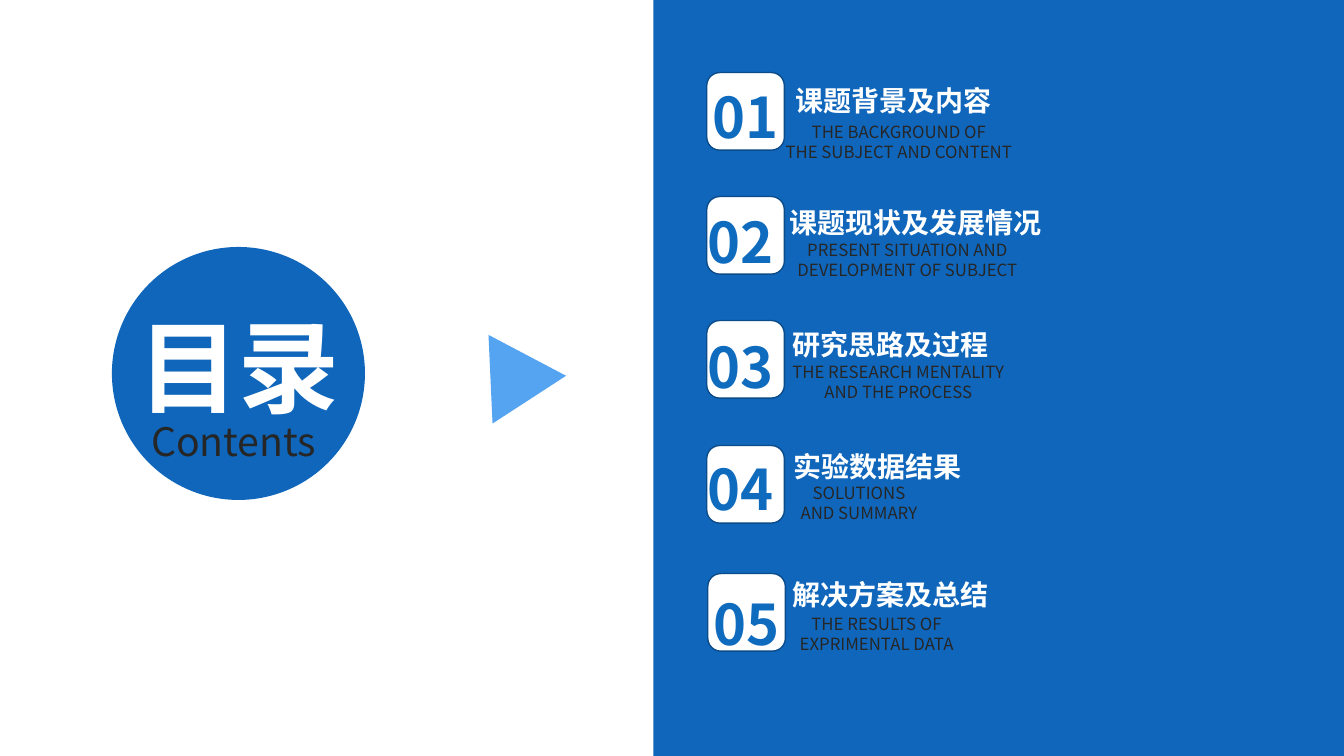
from lxml import etree
from pptx import Presentation, util as u
from pptx.dml.color import RGBColor
from pptx.enum import shapes, text
from pptx.oxml.ns import qn

PX = 9144  # EMU per px, 100 px to the inch
FONT = "Noto Sans CJK SC"
BLUE, WHITE, DARK = "0F66BB", "FFFFFF", "262626"
LEFT, CENTER = text.PP_ALIGN.LEFT, text.PP_ALIGN.CENTER

deck = Presentation()
deck.slide_width, deck.slide_height = 1333 * PX, 750 * PX
slide = deck.slides.add_slide(deck.slide_layouts[5])


def add_block(kind, box, fill, line=None):
    block = slide.shapes.add_shape(kind, *[n * PX for n in box])
    block.shadow.inherit = False
    block.fill.solid()
    block.fill.fore_color.rgb = RGBColor.from_string(fill)
    if line:
        block.line.color.rgb = RGBColor.from_string(line)
        block.line.width = u.Pt(1)
    else:
        block.line.fill.background()
    return block


def write(holder, box, lines, size, color, bold=False, wrap=True, align=LEFT, leading=1.28):
    holder.left, holder.top, holder.width, holder.height = [n * PX for n in box]
    frame = holder.text_frame
    frame.word_wrap = wrap
    frame.auto_size = text.MSO_AUTO_SIZE.NONE
    frame.vertical_anchor = text.MSO_ANCHOR.TOP
    for i, words in enumerate(lines):
        paragraph = frame.add_paragraph() if i else frame.paragraphs[0]
        paragraph.alignment = align
        paragraph.line_spacing = u.Pt(round(size * leading, 1))
        paragraph.space_before = u.Pt(0)
        run = paragraph.add_run()
        run.text = words
        font = run.font
        font.size, font.bold, font.name = u.Pt(size), bold, FONT
        font.color.rgb = RGBColor.from_string(color)
        # East Asian typeface for the Chinese text
        latin = run.font._element.find(qn("a:latin"))
        east_asian = etree.Element(qn("a:ea"), typeface=FONT)
        latin.addnext(east_asian)


# Right panel, heading circle and pointer
add_block(shapes.MSO_SHAPE.RECTANGLE, (648, 0, 685, 750), BLUE)
circle = add_block(shapes.MSO_SHAPE.OVAL, (111, 245, 251, 251), BLUE)
pointer = add_block(shapes.MSO_SHAPE.ISOSCELES_TRIANGLE, (480, 337, 88, 75), "54A4F1")
pointer.rotation = 87.4

# Heading, brought in front of the circle
heading = slide.shapes.title
pointer.element.addnext(heading.element)
write(heading, (127, 289, 221, 131), ["目录"], 72, WHITE, bold=True)
subheading = slide.shapes.add_textbox(0, 0, 0, 0)
write(subheading, (140, 406, 194, 57), ["Contents"], 28, DARK)

# Chapters: tile, number, Chinese title and English title (left, top, width)
chapters = [
    ((701, 72), (697, 73), (779, 76, 217), "课题背景及内容",
     (764, 116, 255), ["THE BACKGROUND OF", "THE SUBJECT AND CONTENT"]),
    ((701, 195), (692, 197), (773, 197, 273), "课题现状及发展情况",
     (777, 233, 246), ["PRESENT SITUATION AND", "DEVELOPMENT OF SUBJECT"]),
    ((701, 318), (692, 321), (776, 318, 217), "研究思路及过程",
     (768, 354, 246), ["THE RESEARCH MENTALITY", "AND THE PROCESS"]),
    ((701, 442), (692, 442), (777, 439, 188), "实验数据结果",
     (776, 474, 152), ["SOLUTIONS", "AND SUMMARY"]),
    ((702, 569), (698, 575), (776, 566, 217), "解决方案及总结",
     (778, 604, 183), ["THE RESULTS OF", "EXPRIMENTAL DATA"]),
]
for order, (tile, number, chinese, title, english, subtitle) in enumerate(chapters, 1):
    add_block(shapes.MSO_SHAPE.ROUNDED_RECTANGLE, (*tile, 77, 77), WHITE, "0B4B8A")
    write(slide.shapes.add_textbox(0, 0, 0, 0), (*chinese, 44), [title],
          20, WHITE, bold=True, wrap=False)
    write(slide.shapes.add_textbox(0, 0, 0, 0), (*english, 50), subtitle,
          12, DARK, wrap=False, align=CENTER, leading=1.2)
    write(slide.shapes.add_textbox(0, 0, 0, 0), (*number, 94, 77), [f"{order:02}"],
          40, "0F6BBE", bold=True)

deck.save("out.pptx")
